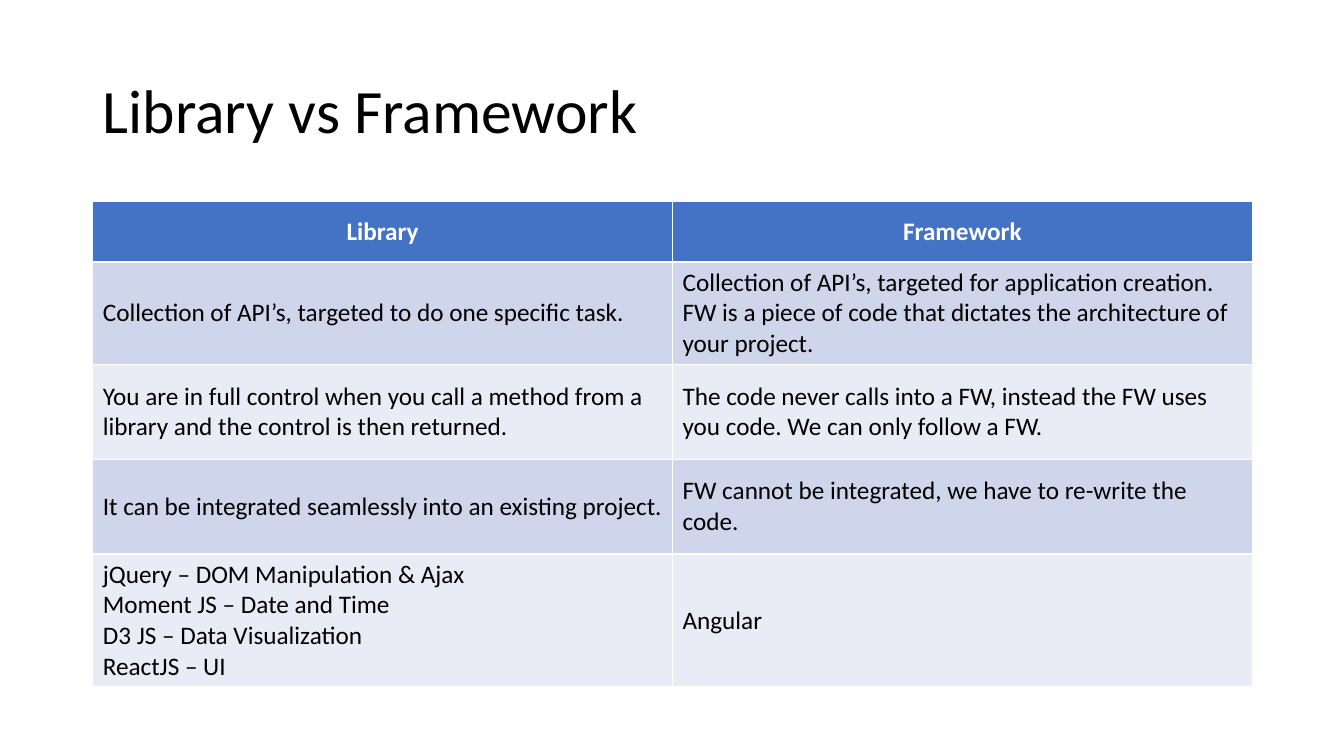
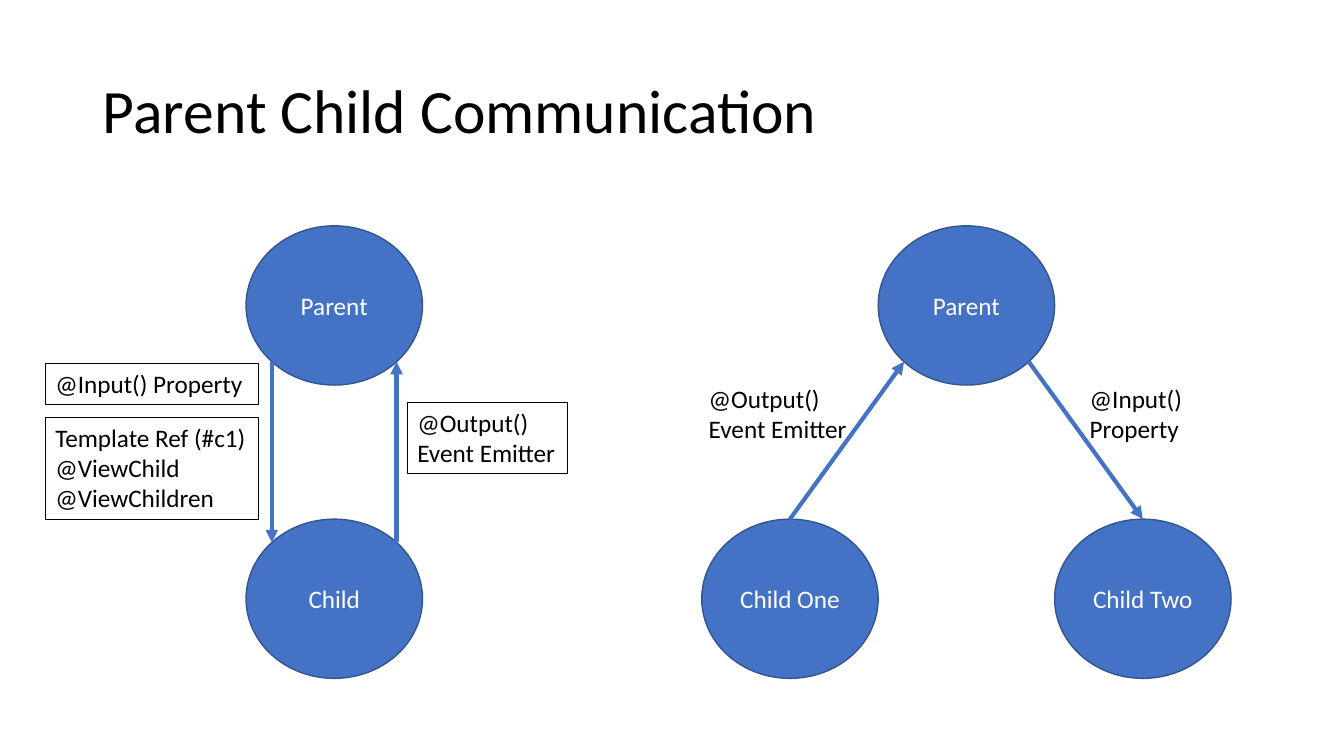
from math import cos, pi, sin

from lxml.etree import SubElement
from pptx import Presentation
from pptx.dml.color import RGBColor
from pptx.enum.shapes import MSO_CONNECTOR, MSO_SHAPE
from pptx.enum.text import MSO_ANCHOR, MSO_AUTO_SIZE, PP_ALIGN
from pptx.oxml.ns import qn
from pptx.util import Pt

PX = 9144  # EMU per px, 100 px to the inch
COLORS = {
    "text": "000000", "white": "FFFFFF", "accent": "4472C4",
    "outline": "325491", "band_dark": "CFD5EA", "band_light": "E9EBF5",
}
FONT = "Calibri"
TITLE = {"size": Pt(44), "name": FONT}
BODY = {"size": Pt(18), "name": FONT, "bold": False}
HEADER = {**BODY, "bold": True}

TABLE_ROWS = [
    ("Library", "Framework"),
    ("Collection of API’s, targeted to do one specific task.",
     "Collection of API’s, targeted for application creation. FW is a piece "
     "of code that dictates the architecture of your project."),
    ("You are in full control when you call a method from a library and the "
     "control is then returned.",
     "The code never calls into a FW, instead the FW uses you code. "
     "We can only follow a FW."),
    ("It can be integrated seamlessly into an existing project.",
     "FW cannot be integrated, we have to re-write the code."),
    ("jQuery – DOM Manipulation & Ajax\nMoment JS – Date and Time\n"
     "D3 JS – Data Visualization\nReactJS – UI", "Angular"),
]
ROW_HEIGHTS = (60, 100, 94, 94, 131)

# Connection sites of an ellipse, counter-clockwise from the top
TOP, TOP_LEFT, BOTTOM_LEFT, BOTTOM_RIGHT, TOP_RIGHT = 0, 1, 3, 5, 7
NODE_W, NODE_H = 175, 158
PARENT_Y, CHILD_Y = 224, 515


def px(*lengths):
    return [round(n * PX) for n in lengths]


def rgb(name):
    return RGBColor.from_string(COLORS[name])


def set_line(line, color, width):
    line.color.rgb = rgb(color)
    line.width = Pt(width)


def site_point(node, site):
    """Return the place, in EMU, of a connection site on an ellipse."""
    angle = site * pi / 4
    x = node.left + node.width / 2 * (1 - sin(angle))
    y = node.top + node.height / 2 * (1 - cos(angle))
    return round(x), round(y)


class Deck:
    def __init__(self):
        self.prs = Presentation()
        self.prs.slide_width, self.prs.slide_height = px(1333, 750)
        self.slide = None

    def add_slide(self, title):
        self.slide = self.prs.slides.add_slide(self.prs.slide_layouts[5])
        sp = self.slide.shapes.title
        sp.left, sp.top, sp.width, sp.height = px(92, 40, 1150, 145)
        sp.text_frame.vertical_anchor = MSO_ANCHOR.MIDDLE
        self.set_text(sp.text_frame, title, TITLE)
        sp.text_frame.paragraphs[0].line_spacing = 0.9

    def set_text(self, tf, text, style=BODY, color="text",
                 align=PP_ALIGN.LEFT):
        tf.text = text
        for p in tf.paragraphs:
            p.alignment = align
            for r in p.runs:
                r.font.color.rgb = rgb(color)
                for name, value in style.items():
                    setattr(r.font, name, value)

    def table(self, x, y, width, heights, rows):
        cols = len(rows[0])
        frame = self.slide.shapes.add_table(
            len(rows), cols, *px(x, y, width, sum(heights)))
        for row, height in zip(frame.table.rows, heights):
            row.height = px(height)[0]
        for i, texts in enumerate(rows):
            if i == 0:
                fill, look = "accent", (HEADER, "white", PP_ALIGN.CENTER)
            else:
                fill = "band_dark" if i % 2 else "band_light"
                look = (BODY, "text", PP_ALIGN.LEFT)
            for j, text in enumerate(texts):
                cell = frame.table.cell(i, j)
                cell.vertical_anchor = MSO_ANCHOR.MIDDLE
                cell.fill.solid()
                cell.fill.fore_color.rgb = rgb(fill)
                self.set_text(cell.text_frame, text, *look)

    def node(self, x, y, text):
        sp = self.slide.shapes.add_shape(
            MSO_SHAPE.OVAL, *px(x, y, NODE_W, NODE_H))
        sp.shadow.inherit = False
        sp.fill.solid()
        sp.fill.fore_color.rgb = rgb("accent")
        set_line(sp.line, "outline", 1)
        sp.text_frame.vertical_anchor = MSO_ANCHOR.MIDDLE
        self.set_text(sp.text_frame, text, BODY, "white", PP_ALIGN.CENTER)
        return sp

    def label(self, x, y, width, height, text, framed=False):
        sp = self.slide.shapes.add_textbox(*px(x, y, width, height))
        tf = sp.text_frame
        tf.word_wrap = True
        tf.auto_size = MSO_AUTO_SIZE.SHAPE_TO_FIT_TEXT
        tf.margin_right = 0
        if framed:
            set_line(sp.line, "text", 0.75)
        self.set_text(tf, text)

    def arrow(self, start, start_site, end, end_site):
        """Draw an arrow glued to a connection site of each node."""
        sp = self.slide.shapes.add_connector(
            MSO_CONNECTOR.STRAIGHT,
            *site_point(start, start_site), *site_point(end, end_site))
        set_line(sp.line, "accent", 3)
        sp_pr = sp._element.spPr
        SubElement(sp_pr.find(qn("a:ln")), qn("a:tailEnd"), type="triangle")
        SubElement(sp_pr, qn("a:effectLst"))
        glue = sp._element.find(".//" + qn("p:cNvCxnSpPr"))
        for tag, node, site in (("a:stCxn", start, start_site),
                                ("a:endCxn", end, end_site)):
            SubElement(glue, qn(tag), id=str(node.shape_id), idx=str(site))


def add_comparison(deck):
    deck.add_slide("Library vs Framework")
    deck.table(92, 200, 1150, ROW_HEIGHTS, TABLE_ROWS)


def add_communication(deck):
    deck.add_slide("Parent Child Communication")

    parent = deck.node(244, PARENT_Y, "Parent")
    child = deck.node(244, CHILD_Y, "Child")
    deck.arrow(parent, BOTTOM_LEFT, child, TOP_LEFT)
    deck.arrow(child, TOP_RIGHT, parent, BOTTOM_RIGHT)
    deck.label(45, 361, 211, 40, "@Input() Property", framed=True)
    deck.label(45, 414, 211, 101,
               "Template Ref (#c1)\n@ViewChild\n@ViewChildren", framed=True)
    deck.label(404, 399, 159, 71, "@Output()\nEvent Emitter", framed=True)

    parent = deck.node(871, PARENT_Y, "Parent")
    child_one = deck.node(871 - NODE_W, CHILD_Y, "Child One")
    child_two = deck.node(871 + NODE_W, CHILD_Y, "Child Two")
    deck.arrow(child_one, TOP, parent, BOTTOM_LEFT)
    deck.arrow(parent, BOTTOM_RIGHT, child_two, TOP)
    deck.label(693, 375, 159, 71, "@Output()\nEvent Emitter")
    deck.label(1071, 375, 113, 71, "@Input()\nProperty")


def main():
    deck = Deck()
    add_comparison(deck)
    add_communication(deck)
    deck.prs.save("out.pptx")


if __name__ == "__main__":
    main()
